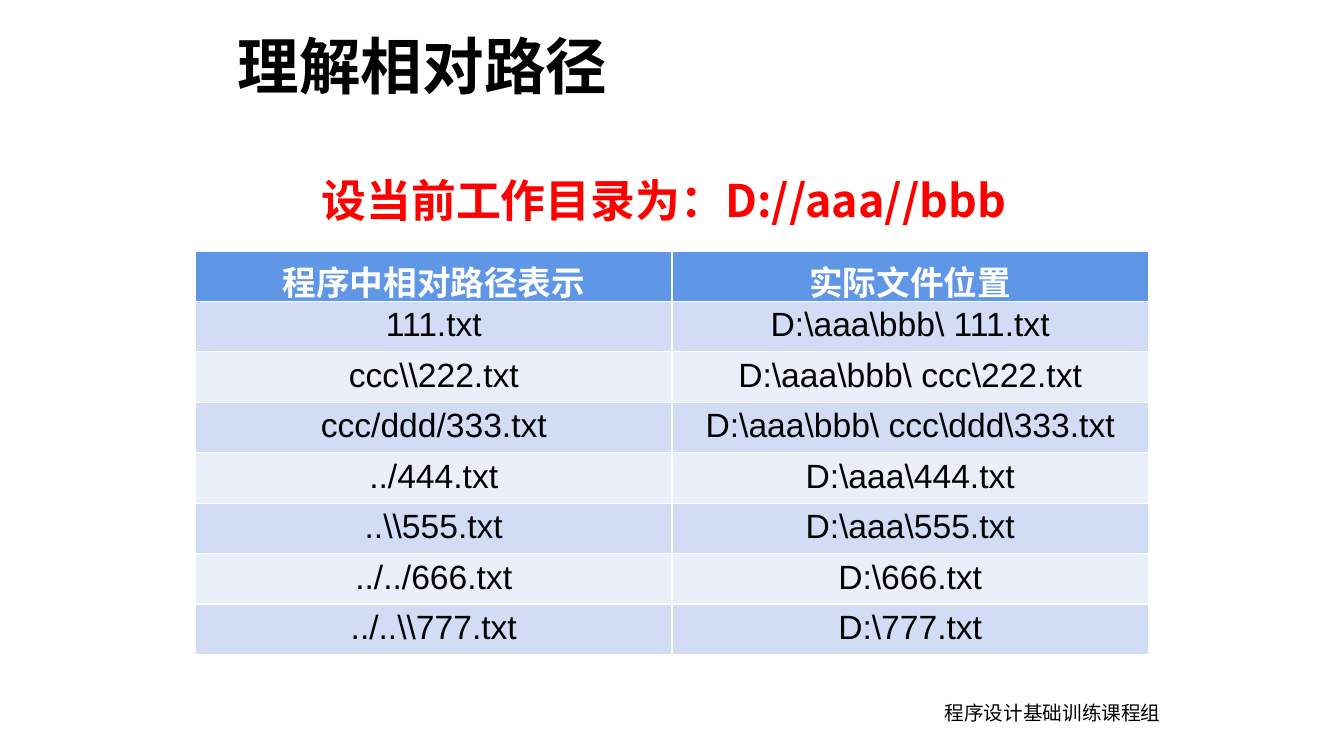
from dataclasses import dataclass

from lxml import etree
from pptx import Presentation
from pptx import util as u
from pptx.dml.color import RGBColor
from pptx.enum import text as tx
from pptx.oxml.ns import qn


@dataclass(frozen=True)
class Theme:
    cjk: str = "Noto Sans CJK SC"
    latin: str = "Arial"
    black: str = "000000"
    white: str = "FFFFFF"
    red: str = "FF0000"
    head: str = "6096E6"
    bands: tuple = ("D2DDF5", "EAEFFA")
    title: int = 44
    lead: int = 32
    cell: int = 24
    foot: int = 14


THEME = Theme()
HEADS = ("程序中相对路径表示", "实际文件位置")
PATHS = (
    ("111.txt", r"D:\aaa\bbb\ 111.txt"),
    (r"ccc\\222.txt", r"D:\aaa\bbb\ ccc\222.txt"),
    ("ccc/ddd/333.txt", r"D:\aaa\bbb\ ccc\ddd\333.txt"),
    ("../444.txt", r"D:\aaa\444.txt"),
    (r"..\\555.txt", r"D:\aaa\555.txt"),
    ("../../666.txt", r"D:\666.txt"),
    (r"../..\\777.txt", r"D:\777.txt"),
)


def write(frame, words, size, color, face, bold=False, align=tx.PP_ALIGN.LEFT):
    para = frame.paragraphs[0]
    para.text = words
    para.alignment = align
    font = para.font
    font.size = u.Pt(size)
    font.bold = bold
    font.name = face
    font.color.rgb = RGBColor.from_string(color)
    return para


def add_text(slide, area, words, size, color, **style):
    box = slide.shapes.add_textbox(*map(u.Inches, area))
    frame = box.text_frame
    frame.word_wrap = True
    para = write(frame, words, size, color, THEME.cjk, **style)
    props = para.runs[0].font._element
    etree.SubElement(props, qn("a:ea"), typeface=THEME.cjk)


def add_grid(slide, area, heads, rows):
    lines = (heads, *rows)
    size = len(lines), len(heads)
    grid = slide.shapes.add_table(*size, *map(u.Inches, area)).table
    for row, line in enumerate(lines):
        top = row == 0
        fill = THEME.head if top else THEME.bands[(row - 1) % 2]
        color = THEME.white if top else THEME.black
        for col, words in enumerate(line):
            cell = grid.cell(row, col)
            cell.fill.solid()
            cell.fill.fore_color.rgb = RGBColor.from_string(fill)
            write(cell.text_frame, words, THEME.cell, color, THEME.latin,
                  bold=top, align=tx.PP_ALIGN.CENTER)


def main():
    deck = Presentation()
    deck.slide_width = u.Inches(13.33)
    deck.slide_height = u.Inches(7.5)
    slide = deck.slides.add_slide(deck.slide_layouts[6])
    add_text(slide, (9.27, 6.9, 2.36, 0.34), "程序设计基础训练课程组",
             THEME.foot, THEME.black)
    add_text(slide, (2.26, 0.23, 5.91, 0.84), "理解相对路径",
             THEME.title, THEME.black, bold=True)
    add_text(slide, (1.78, 1.66, 9.61, 0.67), "设当前工作目录为：D://aaa//bbb",
             THEME.lead, THEME.red, bold=True, align=tx.PP_ALIGN.CENTER)
    add_grid(slide, (1.94, 2.49, 9.45, 4), HEADS, PATHS)
    deck.save("out.pptx")


main()
